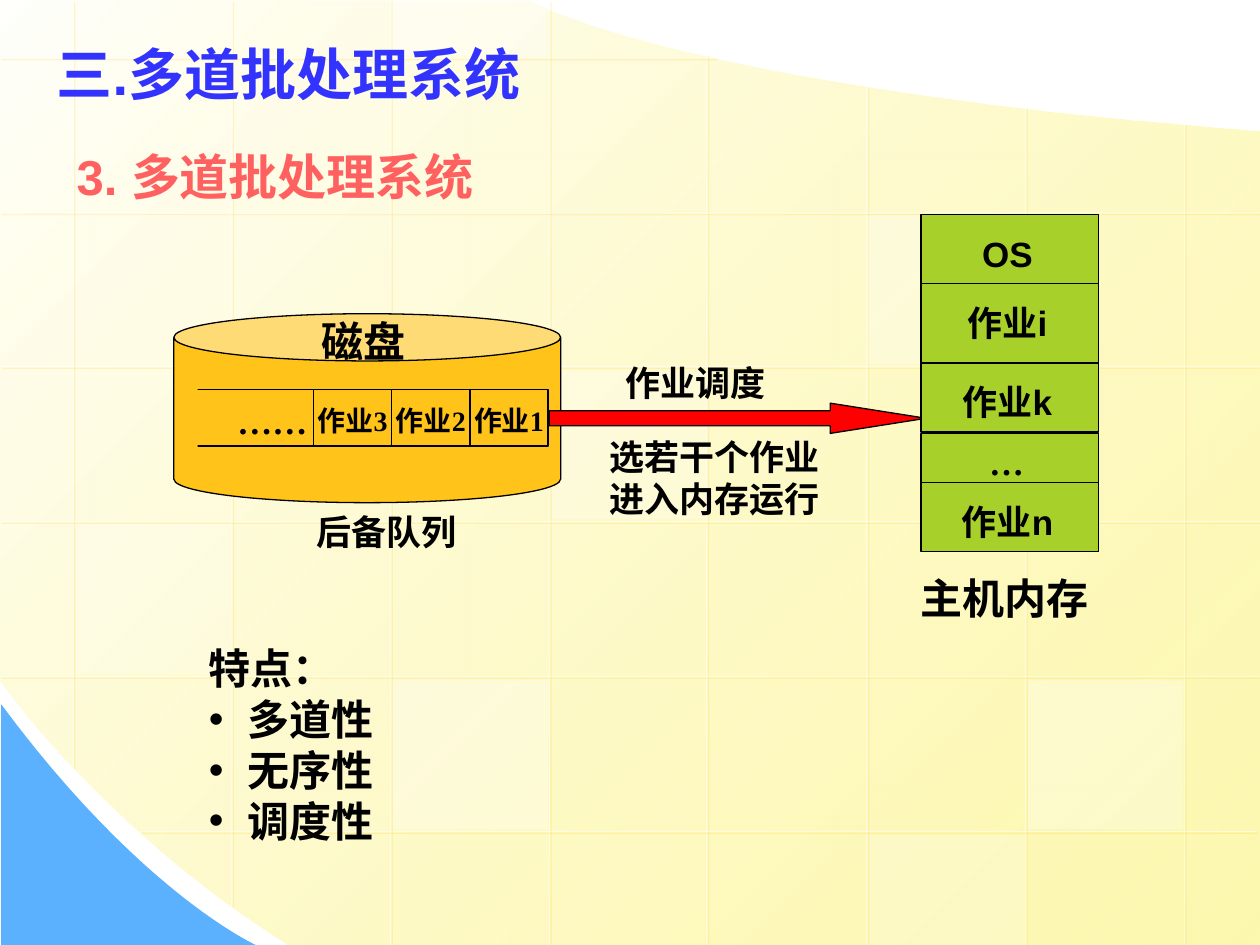
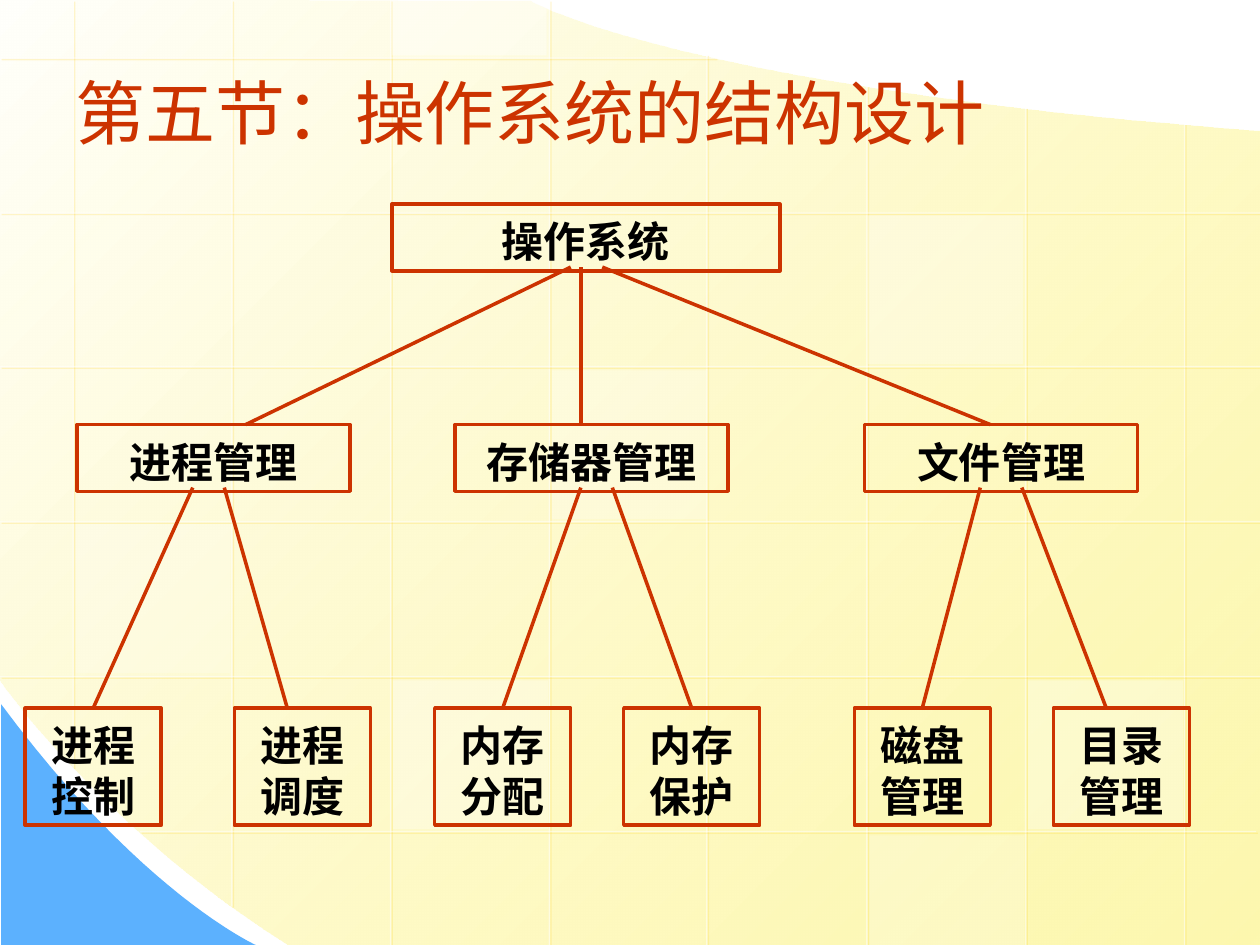
import pptx
import pptx.util
import pptx.dml.color
import pptx.enum.shapes
import pptx.enum.text
import pptx.oxml
import pptx.oxml.ns
import lxml.etree

RGB = pptx.dml.color.RGBColor
BLACK = RGB(0x00, 0x00, 0x00)
WHITE = RGB(0xFF, 0xFF, 0xFF)
IVORY = RGB(0xFF, 0xFF, 0xFB)
LEMON = RGB(0xFD, 0xF5, 0x8D)
SKY = RGB(0x5C, 0xB1, 0xFE)
BLUE = RGB(0x33, 0x33, 0xFF)
CORAL = RGB(0xFF, 0x61, 0x61)
BRICK = RGB(0xCC, 0x33, 0x00)
AMBER = RGB(0xFF, 0xC3, 0x19)
GREEN = RGB(0xA8, 0xD0, 0x2A)
RED = RGB(0xFF, 0x00, 0x00)

SHAPE = pptx.enum.shapes.MSO_SHAPE
STRAIGHT = pptx.enum.shapes.MSO_CONNECTOR.STRAIGHT
ALIGN = pptx.enum.text.PP_ALIGN
ANCHOR = pptx.enum.text.MSO_ANCHOR
Pt = pptx.util.Pt
Inches = pptx.util.Inches
qn = pptx.oxml.ns.qn
CJK_FONT = "Noto Sans CJK SC"
LINE_HEIGHT = 1.21

deck = pptx.Presentation()
deck.slide_width = Inches(10)
deck.slide_height = Inches(7.5)
COL = deck.slide_width // 100
ROW = deck.slide_height // 75


def add_box(slide, at, fill=None, edge=None, width=0.75, kind=SHAPE.RECTANGLE, alpha=None):
    left, top, wide, high = at
    box = slide.shapes.add_shape(
        kind, round(left * COL), round(top * ROW), round(wide * COL), round(high * ROW))
    box.shadow.inherit = False
    if fill is None:
        box.fill.background()
    else:
        box.fill.solid()
        box.fill.fore_color.rgb = fill
    if alpha:
        tint = next(box.fill._xPr.iter(qn("a:srgbClr")))
        lxml.etree.SubElement(tint, qn("a:alpha"), val=str(alpha * 1000))
    if edge is None:
        box.line.fill.background()
    else:
        box.line.color.rgb = edge
        box.line.width = Pt(width)
    return box


def write(target, text, size, color=BLACK, bold=True, font="Arial", align=ALIGN.CENTER,
          anchor=ANCHOR.TOP, wrap=True, hang=None, spacing=1.0, bullets_from=None):
    frame = target.text_frame
    frame.word_wrap = wrap
    frame.vertical_anchor = anchor
    frame.margin_top = Inches(0.09)
    frame.text = text
    for number, paragraph in enumerate(frame.paragraphs):
        properties = paragraph._p.get_or_add_pPr()
        if hang:
            properties.set("marL", str(Inches(hang[0])))
            properties.set("indent", str(Inches(hang[1])))
        if bullets_from is not None and number >= bullets_from:
            lxml.etree.SubElement(properties, qn("a:buFont"), typeface="Arial")
            lxml.etree.SubElement(properties, qn("a:buChar"), char="•")
        paragraph.alignment = align
        paragraph.line_spacing = Pt(round(size * LINE_HEIGHT * spacing, 1))
        for run in paragraph.runs:
            run.font.size = Pt(size)
            run.font.bold = bold
            run.font.name = font
            run.font.color.rgb = color
            run._r.rPr.set("lang", "zh-CN")
            east_asian = lxml.etree.Element(qn("a:ea"), typeface=CJK_FONT)
            run._r.rPr.find(qn("a:latin")).addnext(east_asian)


GRID_LINES = [(x, 0, x, bottom) for x, bottom in
              [(5.8, 60.9), (18.4, 71.9), (31, 75), (43.6, 75.2)]]
GRID_LINES += [(x, top, x, 75.2) for x, top in
               [(56.1, 4.3), (68.8, 6.8), (81.4, 8.5), (94, 9.8)]]
GRID_LINES += [(56.8, 4.6, 0, 4.6), (99.7, 66, 11.1, 66)]
GRID_LINES += [(100.1, y, 0, y) for y in (16.9, 29.1, 41.4, 53.7)]
PALE_TILES = [
    ((43.8, 29.4, 12.3, 11.8), 25), ((81.6, 54, 12.3, 11.8), 30),
    ((6, 41.6, 12.3, 11.8), 20), ((69, 66.3, 12.3, 8.7), 20),
    ((31.1, 0, 12.3, 4.4), 40), ((31.2, 54, 12.3, 11.8), 30),
    ((68.9, 17.1, 12.3, 11.8), 30),
]
PAPER_OUTLINE = [
    [(100, 10.4)], [(100, 75)],
    [(23, 75), (8.6, 66.1), (-0.1, 53.9), (0, 53.9)],
    [(-0.1, -0.1)],
    [(42.1, 0.1), (42.1, 0.1), (53.7, 6.9), (100, 10.4)],
]
CORNER_OUTLINE = [[(0.1, 55.9)], [(0.1, 75)], [(20.3, 75), (20.3, 75), (11.2, 70.9), (0.1, 55.9)]]
CURVE_STEPS = 24
GRID_SHADOW = (
    '<a:effectLst xmlns:a="http://schemas.openxmlformats.org/drawingml/2006/main">'
    '<a:outerShdw dist="17780" dir="2700000" algn="ctr" rotWithShape="0">'
    '<a:srgbClr val="FFCC00"><a:alpha val="34000"/></a:srgbClr></a:outerShdw></a:effectLst>')

batch_slide, structure_slide = [deck.slides.add_slide(deck.slide_layouts[6]) for _ in range(2)]

for slide in (batch_slide, structure_slide):
    for outline, is_paper in ((PAPER_OUTLINE, True), (CORNER_OUTLINE, False)):
        points = []
        for piece in outline:
            if len(piece) == 1:
                points += piece
                continue
            for step in range(CURVE_STEPS + 1):
                t = step / CURVE_STEPS
                weights = ((1 - t) ** 3, 3 * t * (1 - t) ** 2, 3 * t * t * (1 - t), t ** 3)
                points.append(tuple(
                    sum(w * p[axis] for w, p in zip(weights, piece)) for axis in (0, 1)))
        corners = [(round(x * COL), round(y * ROW)) for x, y in points]
        pen = slide.shapes.build_freeform(*corners[0])
        pen.add_line_segments(corners[1:], close=True)
        area = pen.convert_to_shape()
        area.shadow.inherit = False
        area.line.fill.background()
        if is_paper:
            area.fill.gradient()
            area.fill.gradient_angle = 315
            for stop, tone in zip(area.fill.gradient_stops, (IVORY, LEMON)):
                stop.color.rgb = tone
            last_tone = list(area._element.spPr.iter(qn("a:srgbClr")))[-1]
            lxml.etree.SubElement(last_tone, qn("a:alpha"), val="70000")
        else:
            area.fill.solid()
            area.fill.fore_color.rgb = SKY

    for x1, y1, x2, y2 in GRID_LINES:
        rule = slide.shapes.add_connector(
            STRAIGHT, round(x1 * COL), round(y1 * ROW), round(x2 * COL), round(y2 * ROW))
        rule.line.color.rgb = WHITE
        rule.line.width = Pt(0.75)
        white = next(rule._element.spPr.iter(qn("a:srgbClr")))
        lxml.etree.SubElement(white, qn("a:alpha"), val="50000")
        rule._element.spPr.append(pptx.oxml.parse_xml(GRID_SHADOW))
    for tile, opacity in PALE_TILES:
        add_box(slide, tile, WHITE, alpha=opacity)

HEADINGS = [
    (batch_slide, (3.5, 2.1, 90, 6.9), "三.多道批处理系统", 32, BLUE, True, None, ANCHOR.MIDDLE),
    (batch_slide, (5.1, 10.7, 90, 6.3), "3. 多道批处理系统", 28, CORAL, True, (0.38, -0.38), ANCHOR.TOP),
    (structure_slide, (5, 3.6, 90, 10.1), "第五节：操作系统的结构设计", 40, BRICK, False, None,
     ANCHOR.MIDDLE),
]
for slide, (left, top, wide, high), text, size, color, bold, hang, anchor in HEADINGS:
    heading = slide.shapes.add_textbox(
        round(left * COL), round(top * ROW), round(wide * COL), round(high * ROW))
    write(heading, text, size, color, bold, align=ALIGN.LEFT, anchor=anchor, hang=hang)

disk = add_box(batch_slide, (13.8, 24.9, 30.7, 15), AMBER, BLACK, kind=SHAPE.CAN)
disk.adjustments[0] = 0.25
JOB_WIDTH = 6.2
for place, job in enumerate(("作业3", "作业2", "作业1")):
    cell = add_box(batch_slide, (24.9 + place * JOB_WIDTH, 30.9, JOB_WIDTH, 4.5), AMBER, BLACK)
    write(cell, job, 16, font="Times New Roman", anchor=ANCHOR.MIDDLE, wrap=False)
queue_tail = add_box(batch_slide, (15, 30.9, 9.9, 4.5), AMBER, BLACK)
write(queue_tail, "……", 20, font="Times New Roman", align=ALIGN.RIGHT, anchor=ANCHOR.MIDDLE)
queue_tail.text_frame.margin_right = Inches(0.05)
add_box(batch_slide, (14.7, 29.6, 1, 7.1), AMBER)

dispatch = add_box(batch_slide, (43.6, 32, 29.9, 2.4), RED, BLACK, kind=SHAPE.RIGHT_ARROW)
dispatch.adjustments[0] = 0.5
dispatch.adjustments[1] = 3.17

MEMORY = [(17, 10.1, "OS"), (22.5, 11.6, "作业i"), (28.8, 5.5, "作业k"),
          (34.4, 4.5, "…"), (38.3, 5.5, "作业n")]
captions = [
    ((18.1, 23.5, 16.5, 5.6), "磁盘", 24, 1.15),
    ((64, 43.9, 26.4, 5.6), "主机内存", 24, 1.15),
    ((14.4, 39.1, 27.6, 4.8), "后备队列", 20, 1.15),
    ((38.9, 27.3, 27.6, 4.8), "作业调度", 20, 1.15),
    ((42, 33.6, 24.4, 7.7), "选若干个作业\n进入内存运行", 20, 1),
]
for top, high, content in MEMORY:
    add_box(batch_slide, (73.1, top, 14.1, high), GREEN, BLACK)
    captions.append(((62.5, top, 29.9, 4.8), content, 20, 1.15))
for (left, top, wide, high), text, size, spacing in captions:
    caption = batch_slide.shapes.add_textbox(
        round(left * COL), round(top * ROW), round(wide * COL), round(high * ROW))
    write(caption, text, size, font=CJK_FONT if text == "…" else "Arial",
          hang=(0.81, -0.31), spacing=spacing)

features = batch_slide.shapes.add_textbox(
    round(10.6 * COL), round(50.1 * ROW), round(38.6 * COL), 17 * ROW)
write(features, "特点：\n多道性\n无序性\n调度性", 24, align=ALIGN.LEFT,
      hang=(0.81, -0.31), bullets_from=1)

ROOT_TOP, MANAGER_TOP, TASK_TOP = 16.2, 33.7, 56.2
NODES = [((31.1, ROOT_TOP, 30.8, 5.3), "操作系统")]
NODES += [((left, MANAGER_TOP, 21.7, 5.3), name) for left, name in
          [(6.1, "进程管理"), (36.1, "存储器管理"), (68.6, "文件管理")]]
NODES += [((left, TASK_TOP, 10.8, 9.3), name) for left, name in
          [(2, "进程控制"), (18.6, "进程调度"), (34.5, "内存分配"),
           (49.5, "内存保护"), (67.8, "磁盘管理"), (83.6, "目录管理")]]
nodes = []
for place, name in NODES:
    node = add_box(structure_slide, place, edge=BRICK, width=2)
    write(node, name, 24, font="Times New Roman")
    nodes.append(node)

BRANCHES = [(ROOT_TOP, MANAGER_TOP, ends) for ends in
            [(45.3, 19.5), (46.1, 46.1), (47.8, 78.6)]]
BRANCHES += [(MANAGER_TOP, TASK_TOP, ends) for ends in
             [(15.3, 7.8), (17.8, 22.8), (46.1, 39.5), (48.6, 55.3), (77.8, 72.8), (81.1, 87.8)]]
for child, (parent_top, child_top, (start, end)) in zip(nodes[1:], BRANCHES):
    branch = structure_slide.shapes.add_connector(
        STRAIGHT, round(start * COL), round((parent_top + 5) * ROW),
        round(end * COL), round(child_top * ROW))
    if abs(child.left + child.width / 2 - end * COL) < COL / 2:
        branch.end_connect(child, 0)
    branch.line.color.rgb = BRICK
    branch.line.width = Pt(2)
    lxml.etree.SubElement(branch._element.spPr, qn("a:effectLst"))

deck.save("out.pptx")
